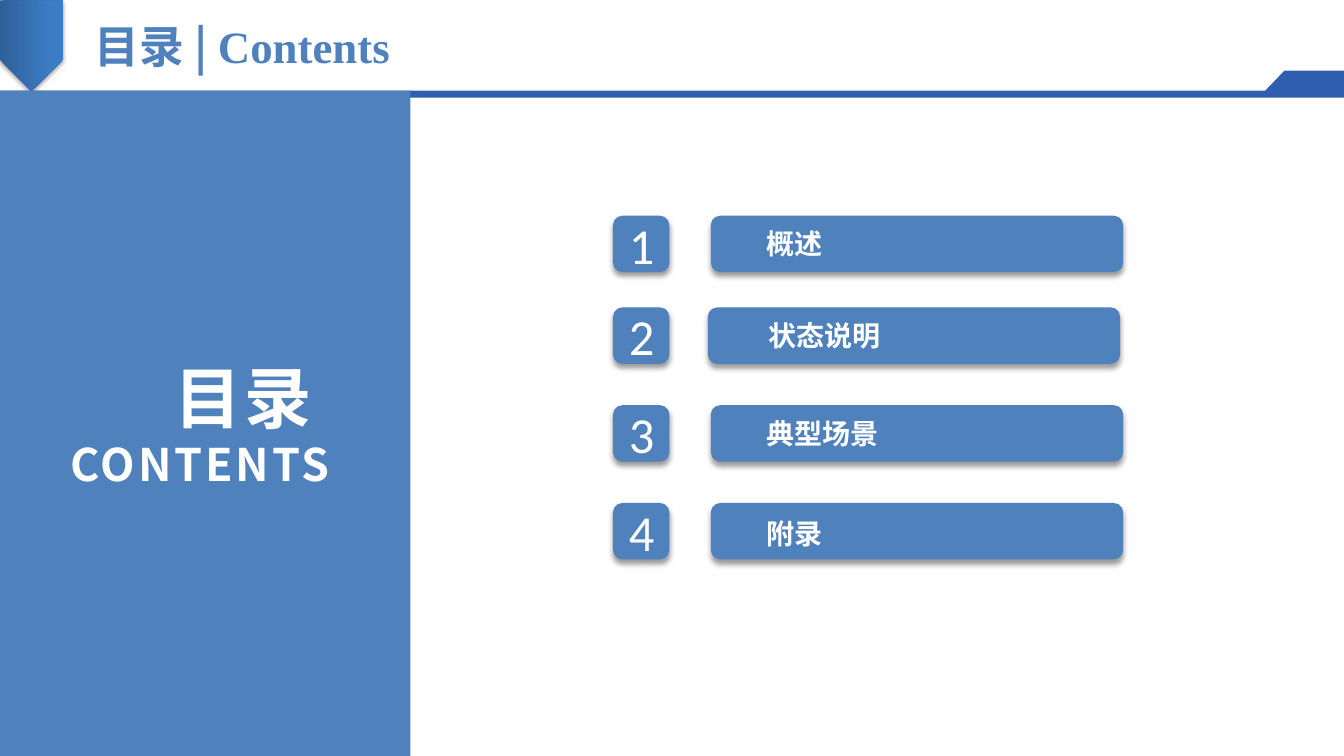
from copy import deepcopy
from lxml import etree
from pptx import Presentation
from pptx import util as u
from pptx.dml import color
from pptx.enum import shapes, text
from pptx.oxml import ns

BLUE = color.RGBColor(0x4F, 0x81, 0xBD)
NAVY = color.RGBColor(0x2F, 0x5E, 0xB0)
WHITE = color.RGBColor(0xFF, 0xFF, 0xFF)
BLACK = color.RGBColor(0, 0, 0)
BLEND = [
    (0, color.RGBColor(0x2F, 0x5F, 0x99)),
    (0.8, color.RGBColor(0x3D, 0x7C, 0xC7)),
    (1, color.RGBColor(0x3A, 0x7C, 0xCB)),
]
SANS = "Noto Sans CJK SC"
SERIF = "Times New Roman"
DIGIT = "Calibri"
KIND = shapes.MSO_SHAPE
ALIGN = text.PP_ALIGN
MIDDLE = text.MSO_ANCHOR.MIDDLE
ROWS = [
    ("概述", 2.14, 7.05, 7.47, 2.18),
    ("状态说明", 3.05, 7.02, 7.49, 3.09),
    ("典型场景", 4.02, 7.05, 7.47, 4.06),
    ("附录", 4.99, 7.05, 7.47, 5.05),
]


def inches(box):
    return [u.Inches(v) for v in box]


def add_shade(shape, alpha, blur, dist):
    props = shape._element.spPr
    effects = props.find(ns.qn("a:effectLst"))
    shade = etree.SubElement(
        effects, ns.qn("a:outerShdw"), blurRad=str(u.Pt(blur)),
        dist=str(u.Pt(dist)), dir="5400000", algn="t", rotWithShape="0")
    tone = etree.SubElement(shade, ns.qn("a:srgbClr"), val=str(BLACK))
    etree.SubElement(tone, ns.qn("a:alpha"), val=str(alpha * 1000))


def add_block(slide, kind, box, fill):
    shape = slide.shapes.add_shape(kind, *inches(box))
    shape.fill.solid()
    shape.fill.fore_color.rgb = fill
    shape.line.fill.background()
    shape.shadow.inherit = False
    return shape


def add_ribbon(slide):
    shape = add_block(slide, KIND.PENTAGON, (-0.14, 0.14, 0.9, 0.63), BLUE)
    shape.rotation = 90
    shape.fill.gradient()
    shape.fill.gradient_angle = 90
    stops = shape._element.spPr.find(".//" + ns.qn("a:gsLst"))
    stops.append(deepcopy(stops[-1]))
    for stop, (place, tone) in zip(shape.fill.gradient_stops, BLEND):
        stop.position = place
        stop.color.rgb = tone
    add_shade(shape, 35, 3.1, 1.8)


def add_corner(slide):
    draw = slide.shapes.build_freeform(
        u.Inches(13.33), u.Inches(0.94), scale=1.0)
    points = [(12.51, 0.94), (12.74, 0.7), (13.33, 0.7)]
    draw.add_line_segments([inches(p) for p in points], close=True)
    shape = draw.convert_to_shape()
    shape.fill.solid()
    shape.fill.fore_color.rgb = NAVY
    shape.line.fill.background()
    shape.shadow.inherit = False


def set_frame(shape, pad=True):
    frame = shape.text_frame
    frame.word_wrap = True
    if pad:
        frame.margin_left = frame.margin_right = u.Inches(0.13)
        frame.margin_top = frame.margin_bottom = u.Inches(0.07)
    return frame


def add_run(para, words, size, font, tone, bold=True, space=0):
    run = para.add_run()
    run.text = words
    run.font.size = u.Pt(size)
    run.font.name = font
    run.font.bold = bold
    run.font.color.rgb = tone
    props = run._r.get_or_add_rPr()
    face = etree.Element(ns.qn("a:ea"), typeface=font)
    props.find(ns.qn("a:latin")).addnext(face)
    if space:
        props.set("spc", str(space * 100))


def add_label(slide, box, pad=True):
    return set_frame(slide.shapes.add_textbox(*inches(box)), pad)


def add_title(slide):
    frame = add_label(slide, (0.84, 0, 11.04, 0.9), pad=False)
    frame.vertical_anchor = MIDDLE
    para = frame.paragraphs[0]
    add_run(para, "目录 | ", 32, SANS, BLUE)
    add_run(para, "Contents", 32, SERIF, BLUE)


def add_panel(slide):
    add_block(slide, KIND.RECTANGLE, (0, 0.9, 4.07, 6.6), BLUE)
    frame = add_label(slide, (0.33, 3.46, 3.07, 1.48))
    head, sub = frame.paragraphs[0], frame.add_paragraph()
    for para, words, size in ((head, "目录 ", 48), (sub, "CONTENTS", 32)):
        para.alignment = ALIGN.RIGHT
        add_run(para, words, size, SANS, WHITE, space=2)


def add_row(slide, number, words, top, left, inset, base):
    key = add_block(
        slide, KIND.ROUNDED_RECTANGLE, (6.08, top, 0.56, 0.56), BLUE)
    bar = add_block(
        slide, KIND.ROUNDED_RECTANGLE, (left, top, 4.09, 0.56), BLUE)
    for shape in (key, bar):
        add_shade(shape, 40, 4, 3)
    frame = set_frame(key)
    frame.vertical_anchor = MIDDLE
    para = frame.paragraphs[0]
    para.alignment = ALIGN.CENTER
    add_run(para, str(number), 36, DIGIT, WHITE, bold=False)
    label = add_label(slide, (inset, base, 2.9, 0.47))
    add_run(label.paragraphs[0], words, 20, SANS, WHITE)


def main():
    deck = Presentation()
    deck.slide_width = u.Inches(13.33)
    deck.slide_height = u.Inches(7.5)
    slide = deck.slides.add_slide(deck.slide_layouts[6])
    add_ribbon(slide)
    add_block(slide, KIND.RECTANGLE, (0, 0.9, 13.33, 0.07), NAVY)
    add_corner(slide)
    add_title(slide)
    add_panel(slide)
    for number, row in enumerate(ROWS, 1):
        add_row(slide, number, *row)
    deck.save("out.pptx")


if __name__ == "__main__":
    main()
